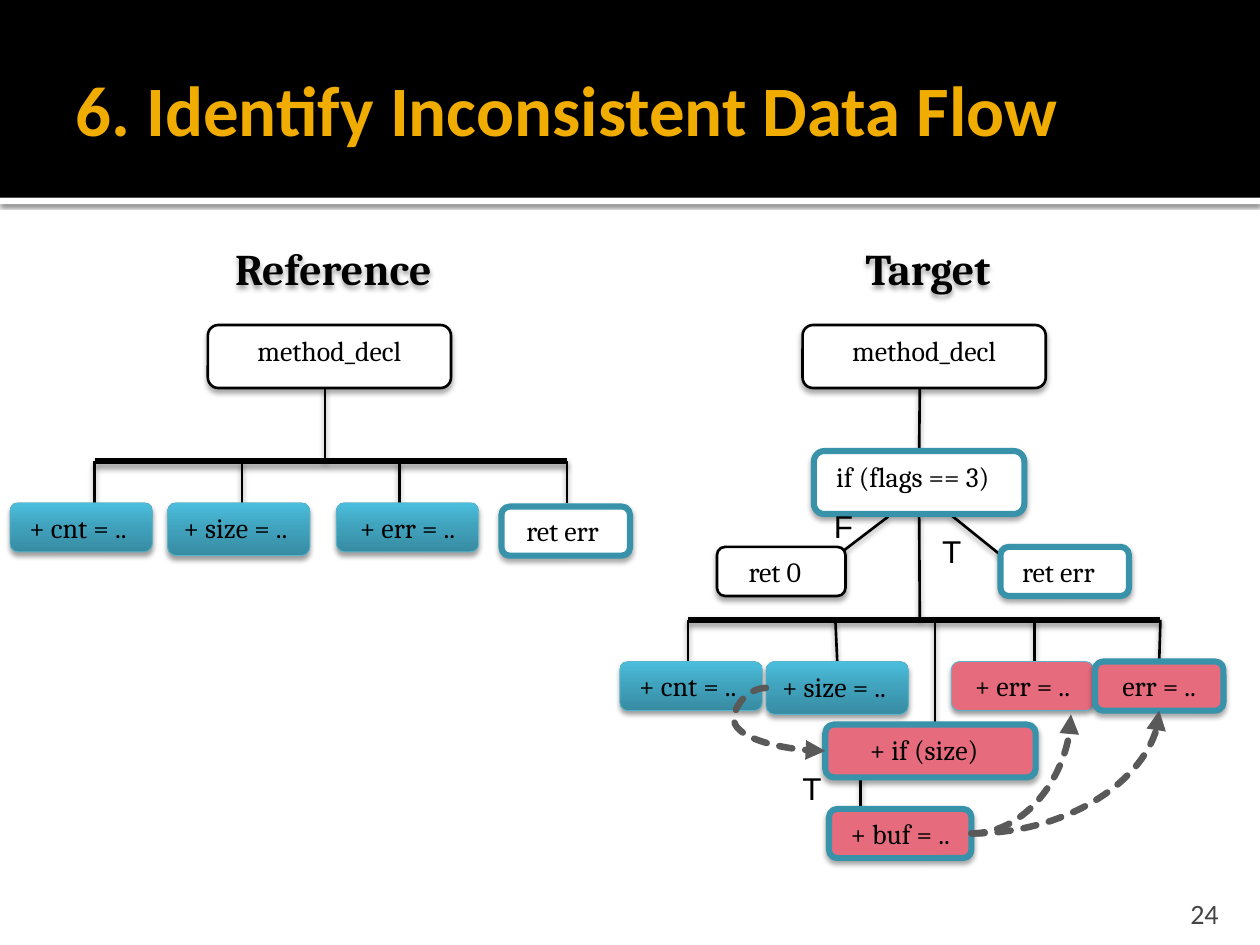
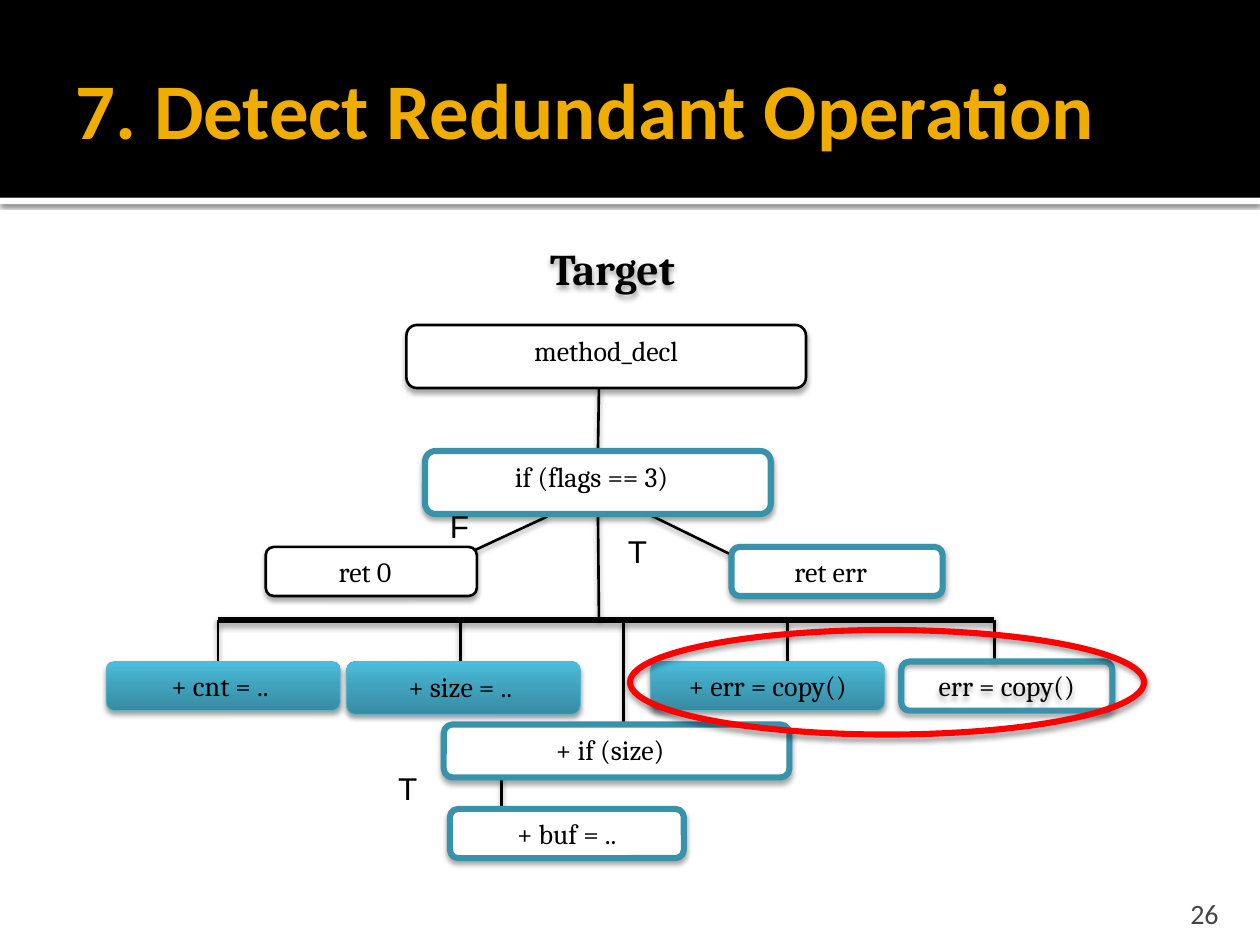
from copy import deepcopy
from dataclasses import dataclass, replace

from lxml import etree
from pptx import Presentation
from pptx import util as u
from pptx.dml.color import RGBColor
from pptx.enum import dml, shapes, text
from pptx.oxml.ns import qn

COLORS = {
    "black": "000000", "white": "FFFFFF", "title": "F0AD00", "number": "454545",
    "teal": "3792AA", "pale_teal": "5BB3CA", "pink": "E66C7D", "red": "FF0000",
    "flow": "595959",
}
ADDED_GRADIENT = ((0, "378BA2"), (0.55, "41A4BF"), (1, "4BBFDE"))

SOFT = (35, 3, 2)
DEEP = (38, 3.1, 2)
BAR_SHADOW = (38, 3.5, 2)
BAND_SHADOW = (60, 2.5, 0.8)

STYLES = {
    "plain": ("white", "black", 1.5, SOFT),
    "mapped": ("white", "teal", 3.5, SOFT),
    "added": ("gradient", "pale_teal", 0.5, DEEP),
    "added_affected": ("pink", "pale_teal", 0.5, DEEP),
    "mapped_affected": ("pink", "teal", 3.5, SOFT),
    "mapped_open": (None, "teal", 3.5, SOFT),
    "mark": (None, "red", 3.5, DEEP),
}


@dataclass(frozen=True)
class Node:
    label: str
    left: float
    top: float
    width: float
    height: float
    style: str
    lag: float = 0


WIDE, NARROW, LOW = 1.13, 1.02, 0.39

REFERENCE = {
    "heading": ("Reference", 1.45),
    "bar": (0.75, 4.5, 3.66),
    "drops": (0.75, 1.92, 3.17, 4.5),
    "stems": [((2.58, 3.08), (2.58, 3.66))],
    "branches": [],
    "nodes": {
        "method": Node("method_decl", 1.65, 2.58, 1.93, 0.5, "plain"),
        "cnt": Node("+ cnt = ..", 0.08, 3.99, WIDE, LOW, "added", 0.05),
        "size": Node("+ size = ..", 1.33, 3.99, WIDE, 0.42, "added", 0.05),
        "new_err": Node("+ err = ..", 2.67, 3.99, WIDE, LOW, "added"),
        "ret_err": Node("ret err", 3.98, 4.02, NARROW, LOW, "mapped", 0.05),
    },
}

TARGET = {
    "heading": ("Target", 6.17),
    "bar": (5.46, 9.21, 4.92),
    "drops": (5.46, 6.63, 8.21, 9.21),
    "stems": [
        ((7.3, 3.08), (7.3, 3.58)),
        ((7.3, 4.08), (7.3, 4.92)),
        ((7.05, 4.1), (6.63, 4.42)),
        ((7.55, 4.09), (7.96, 4.42)),
        ((7.42, 4.92), (7.42, 5.75)),
        ((6.83, 6.17), (6.83, 6.42)),
    ],
    "branches": [("F", 6.52, 4), ("T", 7.38, 4.2), ("T", 6.27, 6.08)],
    "nodes": {
        "method": Node("method_decl", 6.37, 2.58, 1.93, 0.5, "plain"),
        "if_flags": Node("if (flags == 3)", 6.46, 3.58, 1.67, 0.5, "mapped", 0.1),
        "ret_0": Node("ret 0", 5.69, 4.34, NARROW, LOW, "plain", 0.1),
        "ret_err": Node("ret err", 7.94, 4.34, NARROW, LOW, "mapped", 0.1),
        "cnt": Node("+ cnt = ..", 4.92, 5.25, WIDE, LOW, "added", 0.05),
        "size": Node("+ size = ..", 6.08, 5.25, WIDE, 0.42, "added", 0.05),
        "new_err": Node("+ err = ..", 7.55, 5.25, WIDE, LOW, "added_affected"),
        "err": Node("err = ..", 8.69, 5.25, NARROW, LOW, "mapped_affected"),
        "if_size": Node("+ if (size)", 6.55, 5.75, 1.67, 0.42, "mapped_affected", 0.1),
        "buf": Node("+ buf = ..", 6.58, 6.42, WIDE, LOW, "mapped_affected"),
    },
}

REDUNDANT_CHANGES = {
    "new_err": {"label": "+ err = copy()", "style": "added"},
    "err": {"label": "err = copy()", "style": "mapped_open", "left": 8.76},
    "if_size": {"style": "mapped"},
    "buf": {"style": "mapped"},
}
REDUNDANT = dict(TARGET, nodes={
    key: replace(node, **REDUNDANT_CHANGES.get(key, {}))
    for key, node in TARGET["nodes"].items()
})

DATA_FLOWS = [
    ((7.71, 6.61), (8.5, 5.67), "curvedConnector2", None),
    ((7.71, 6.61), (9.2, 5.64), "curvedConnector2", None),
    ((6.08, 5.46), (6.55, 5.96), "curvedConnector3", -54100),
]

UNSCALED = (1, 0)
SPREAD = (1.643, -7.24)

SLIDES = [
    {"title": "6. Identify Inconsistent Data Flow", "size": 40.5, "number": "24",
     "trees": [(REFERENCE, UNSCALED), (TARGET, UNSCALED)],
     "flows": DATA_FLOWS, "marks": []},
    {"title": "7. Detect Redundant Operation", "size": 45, "number": "26",
     "trees": [(REDUNDANT, SPREAD)],
     "flows": [], "marks": [Node("", 5, 5, 4.08, 0.83, "mark")]},
]


def rgb(name):
    return RGBColor.from_string(COLORS[name])


def inches(*lengths):
    return [u.Inches(length) for length in lengths]


def add_shadow(shape, shadow):
    properties = shape._element.spPr
    effects = properties.find(qn("a:effectLst"))
    if effects is None:
        effects = etree.SubElement(properties, qn("a:effectLst"))
    if shadow:
        alpha, blur, distance = shadow
        outer = etree.SubElement(
            effects, qn("a:outerShdw"), blurRad=str(int(u.Pt(blur))),
            dist=str(int(u.Pt(distance))), dir="5400000", rotWithShape="0")
        color = etree.SubElement(outer, qn("a:srgbClr"), val=COLORS["black"])
        etree.SubElement(color, qn("a:alpha"), val=str(alpha * 1000))


def write(shape, words, font, size, color, insets, align="LEFT", anchor="TOP",
          bold=False, spacing=None):
    frame = shape.text_frame
    frame.word_wrap = True
    frame.vertical_anchor = text.MSO_ANCHOR[anchor]
    (frame.margin_left, frame.margin_top,
     frame.margin_right, frame.margin_bottom) = inches(*insets)
    paragraph = frame.paragraphs[0]
    paragraph.alignment = text.PP_ALIGN[align]
    paragraph.line_spacing = spacing
    run = paragraph.add_run()
    run.text = words
    run.font.name = font
    run.font.size = u.Pt(size)
    run.font.bold = bold
    run.font.color.rgb = rgb(color)


def add_text(slide, place, *args, **options):
    box = slide.shapes.add_textbox(*inches(*place))
    write(box, *args, **options)
    return box


def fill_gradient(fill, shape):
    fill.gradient()
    fill.gradient_angle = 90
    stop_list = shape._element.spPr.find(qn("a:gradFill")).find(qn("a:gsLst"))
    stop_list.append(deepcopy(stop_list[0]))
    for stop, (position, color) in zip(fill.gradient_stops, ADDED_GRADIENT):
        stop.position = position
        stop.color.rgb = RGBColor.from_string(color)


def add_box(slide, node, kind="ROUNDED_RECTANGLE"):
    fill, line, width, shadow = STYLES[node.style]
    box = slide.shapes.add_shape(
        shapes.MSO_SHAPE[kind], *inches(node.left, node.top, node.width, node.height))
    box.shadow.inherit = False
    if fill is None:
        box.fill.background()
    elif fill == "gradient":
        fill_gradient(box.fill, box)
    else:
        box.fill.solid()
        box.fill.fore_color.rgb = rgb(fill)
    box.line.color.rgb = rgb(line)
    box.line.width = u.Pt(width)
    add_shadow(box, shadow)
    if node.label:
        write(box, node.label, "Cambria", 16, "black",
              (0.06, 0.04, 0.06 + node.lag, 0.04), "CENTER")
    return box


def add_line(slide, start, end, width=1.5, shadow=SOFT, color="black", kind="STRAIGHT"):
    line = slide.shapes.add_connector(
        shapes.MSO_CONNECTOR[kind], *inches(*start, *end))
    line.line.color.rgb = rgb(color)
    line.line.width = u.Pt(width)
    add_shadow(line, shadow)
    return line


def join(line, boxes):
    near = u.Inches(0.02)
    ends = ((line.begin_x, line.begin_y, line.begin_connect),
            (line.end_x, line.end_y, line.end_connect))
    for x, y, connect in ends:
        for box in boxes:
            middle_x, middle_y = box.left + box.width // 2, box.top + box.height // 2
            sides = ((middle_x, box.top), (box.left, middle_y),
                     (middle_x, box.top + box.height), (box.left + box.width, middle_y))
            for side, (side_x, side_y) in enumerate(sides):
                if abs(side_x - x) <= near and abs(side_y - y) <= near:
                    connect(box, side)


def add_tree(slide, tree, stretch):
    scale, shift = stretch

    def across(x):
        return scale * x + shift

    bar_left, bar_right, bar_y = tree["bar"]
    add_line(slide, (across(bar_left), bar_y), (across(bar_right), bar_y),
             3.78, BAR_SHADOW)
    drops = [((x, bar_y), (x, bar_y + 0.33)) for x in tree["drops"]]
    lines = [add_line(slide, (across(x1), y1), (across(x2), y2))
             for (x1, y1), (x2, y2) in tree["stems"] + drops]

    heading, left = tree["heading"]
    heading_box = add_text(slide, (across(left), 1.92, 2.39 * scale, 0.65), heading,
                           "Cambria", 25, "black", (0, 0, 0, 0), "CENTER", bold=True)
    add_shadow(heading_box, DEEP)

    boxes = [add_box(slide, replace(node, left=across(node.left), width=node.width * scale))
             for node in tree["nodes"].values()]
    for line in lines:
        join(line, boxes)
    for branch, left, top in tree["branches"]:
        add_text(slide, (across(left), top, 0.36 * scale, 0.39), branch, "Arial", 18,
                 "black", (0.1, 0.05, 0.1, 0.05), spacing=0.93)
    return boxes


def add_flow(slide, start, end, curve, bend, boxes):
    flow = add_line(slide, start, end, 3.75, None, "flow", "CURVE")
    flow.line.dash_style = dml.MSO_LINE.SQUARE_DOT
    outline = flow._element.spPr.find(qn("a:ln"))
    outline.set("cap", "rnd")
    etree.SubElement(outline, qn("a:tailEnd"), type="triangle")
    geometry = flow._element.spPr.find(qn("a:prstGeom"))
    geometry.set("prst", curve)
    if bend is not None:
        guides = geometry.find(qn("a:avLst"))
        if guides is None:
            guides = etree.SubElement(geometry, qn("a:avLst"))
        etree.SubElement(guides, qn("a:gd"), name="adj1", fmla=f"val {bend}")
    join(flow, boxes)


def add_frame(slide, title, size, number):
    for top, height, color, shadow in ((1.57, 0.05, "white", BAND_SHADOW),
                                       (0, 1.57, "black", None)):
        band = slide.shapes.add_shape(
            shapes.MSO_SHAPE.RECTANGLE, *inches(0, top, 10, height))
        band.shadow.inherit = False
        band.fill.solid()
        band.fill.fore_color.rgb = rgb(color)
        band.line.fill.background()
        add_shadow(band, shadow)
    add_text(slide, (0.5, 0.17, 9, 1.37), title, "Calibri", size, "title",
             (0.1, 0.05, 0.05, 0.05), anchor="MIDDLE", bold=True)
    add_text(slide, (8.97, 7.08, 0.8, 0.3), number, "Calibri", 16, "number",
             (0.1, 0.05, 0.1, 0), "RIGHT", "BOTTOM")


def main():
    deck = Presentation()
    deck.slide_width, deck.slide_height = inches(10, 7.5)
    for page in SLIDES:
        slide = deck.slides.add_slide(deck.slide_layouts[6])
        add_frame(slide, page["title"], page["size"], page["number"])
        boxes = []
        for tree, stretch in page["trees"]:
            boxes += add_tree(slide, tree, stretch)
        for flow in page["flows"]:
            add_flow(slide, *flow, boxes)
        for mark in page["marks"]:
            add_box(slide, mark, "OVAL")
    deck.save("out.pptx")


if __name__ == "__main__":
    main()
